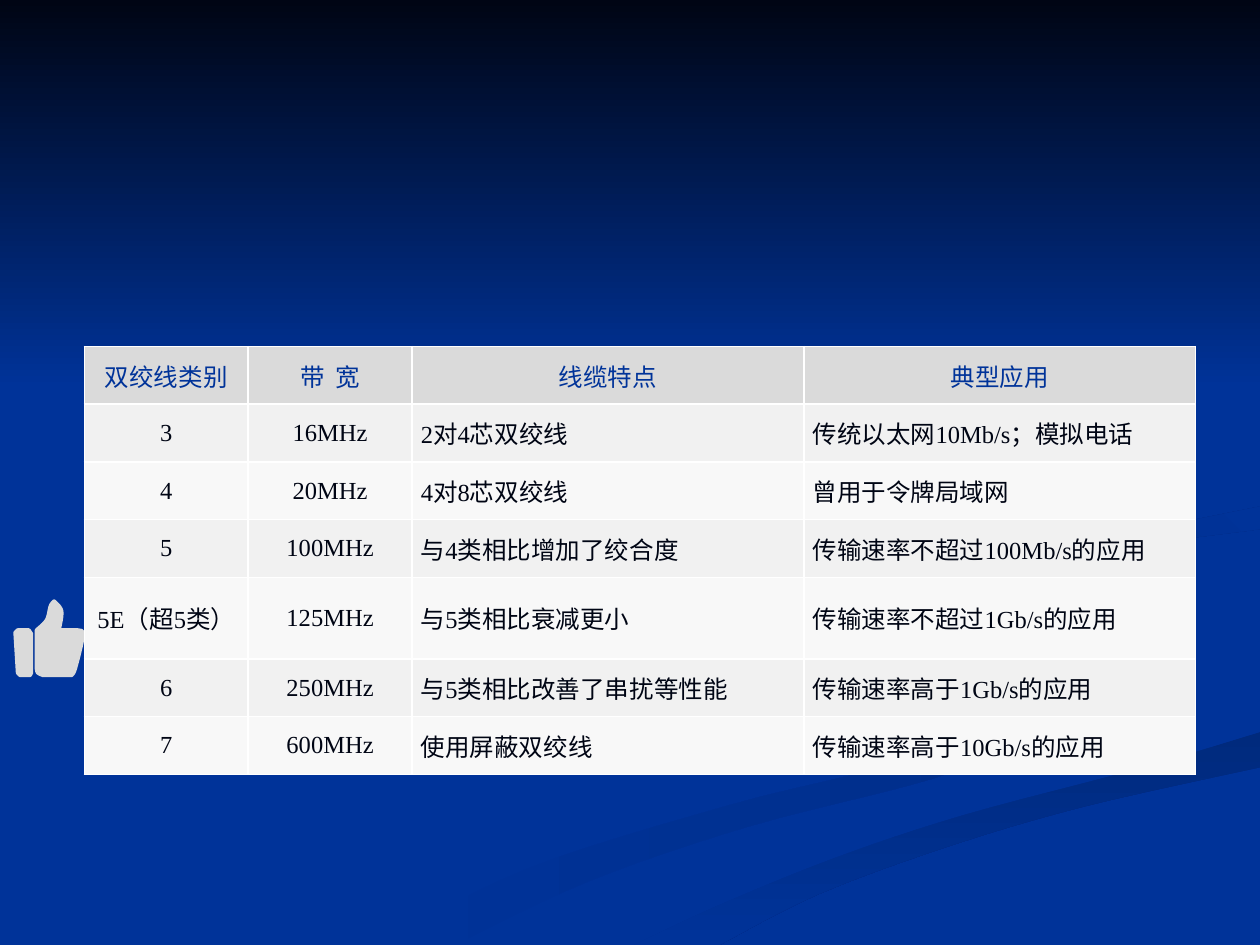
"""Build the slide that compares twisted-pair cable categories."""
from lxml.etree import SubElement
from pptx import Presentation
from pptx.dml.color import RGBColor
from pptx.enum.text import MSO_ANCHOR, PP_ALIGN
from pptx.oxml.ns import qn
from pptx.util import Inches, Pt

BLUE = RGBColor(0x00, 0x33, 0x99)
NIGHT = RGBColor(0x00, 0x05, 0x14)
LEFT_SHADE = RGBColor(0x00, 0x2E, 0x8B)
LOWER_SHADE = RGBColor(0x00, 0x2A, 0x7D)
UPPER_SHADE = RGBColor(0x00, 0x2D, 0x86)
GREY = RGBColor(0xDA, 0xDA, 0xDA)
BANDS = RGBColor(0xF1, 0xF1, 0xF1), RGBColor(0xF8, 0xF8, 0xF8)
WHITE = RGBColor(0xFF, 0xFF, 0xFF)

WIDTH, HEIGHT = 10, 7.5
FONT = "Times New Roman"
COLUMNS = 1.3, 1.3, 3.11, 3.11
CENTERED_COLUMNS = 2
ROWS = [
    ("双绞线类别", "带  宽", "线缆特点", "典型应用"),
    ("3", "16MHz", "2对4芯双绞线", "传统以太网10Mb/s；模拟电话"),
    ("4", "20MHz", "4对8芯双绞线", "曾用于令牌局域网"),
    ("5", "100MHz", "与4类相比增加了绞合度", "传输速率不超过100Mb/s的应用"),
    ("5E（超5类）", "125MHz", "与5类相比衰减更小", "传输速率不超过1Gb/s的应用"),
    ("6", "250MHz", "与5类相比改善了串扰等性能", "传输速率高于1Gb/s的应用"),
    ("7", "600MHz", "使用屏蔽双绞线", "传输速率高于10Gb/s的应用"),
]


def smooth(knots, steps=6):
    """Return a Catmull-Rom curve through the knots, as a list of points."""
    padded = [knots[0], *knots, knots[-1]]
    curve = [knots[0]]
    for a, b, c, d in zip(padded, padded[1:], padded[2:], padded[3:]):
        for t in (i / steps for i in range(1, steps + 1)):
            curve.append(tuple(
                q + t * (r - p) / 2
                + t * t * (2 * p - 5 * q + 4 * r - s) / 2
                + t ** 3 * (3 * q - p - 3 * r + s) / 2
                for p, q, r, s in zip(a, b, c, d)))
    return curve


def join(*edges):
    """Join edges into one contour, smoothing those with inner knots."""
    return [pt for e in edges for pt in (smooth(e) if len(e) > 2 else e)]


def add_outline(slide, *contours):
    """Draw closed contours, given in inches, as one shape without a line."""
    scaled = [[(Inches(x), Inches(y)) for x, y in c] for c in contours]
    builder = slide.shapes.build_freeform(*scaled[0][0], scale=1.0)
    for i, points in enumerate(scaled):
        if i:
            builder.move_to(*points[0])
        builder.add_line_segments(points[1:], close=True)
    sp = builder.convert_to_shape()
    sp.shadow.inherit = False
    sp.line.fill.background()
    return sp


def paint(fill, color):
    """Give a fill one solid colour."""
    fill.solid()
    fill.fore_color.rgb = color


def fade(fill, start, end, clockwise):
    """Give a fill a gradient from start to end."""
    fill.gradient()
    fill.gradient_angle = (360 - clockwise) % 360
    for stop, position, color in zip(fill.gradient_stops, (0, 1), (start, end)):
        stop.position = position
        stop.color.rgb = color


def add_ribbons(slide):
    """Draw the winding ribbons; neighbours share their common edges."""
    left_outer = [(5.75, 4.59), (5.72, 4.76), (6.11, 4.99), (6.97, 5.25),
                  (7.81, 5.56), (7.83, 5.74), (7.14, 6.05), (5.79, 6.39),
                  (4.17, 6.9), (3, HEIGHT)]
    left_inner = [(3.61, HEIGHT), (4.66, 7), (5.94, 6.56), (7.4, 6.18),
                  (7.95, 5.92), (7.95, 5.67), (7.31, 5.33), (6.42, 5.07),
                  (5.83, 4.77), (5.75, 4.59)]
    wide_left = [(7.25, 4.64), (7.45, 4.9), (8.12, 5.15), (8.89, 5.35),
                 (9.43, 5.7), (8.92, 6.05), (7.8, 6.34), (6.19, 6.84),
                 (4.77, HEIGHT)]
    wide_right = [(WIDTH, 5.38), (9.04, 5.19), (8.17, 4.92), (7.81, 4.63)]
    wide_top = [(WIDTH, 3.87), (9.2, 4.01), (8.08, 4.17), (7.42, 4.39),
                (7.25, 4.64)]
    lower_top = [(5.03, HEIGHT), (5.69, 7.19), (6.62, 6.81), (7.64, 6.47),
                 (9.03, 6.1), (WIDTH, 5.81)]
    lower_bottom = [(WIDTH, 6.09), (8.61, 6.4), (7.52, 6.72), (6.49, 7.1),
                    (5.71, HEIGHT)]
    upper_left = [(7.81, 4.63), (7.99, 4.42), (8.65, 4.24), (9.33, 4.15),
                  (WIDTH, 4.02)]
    upper_right = [(WIDTH, 4.2), (8.96, 4.35), (8.16, 4.59), (8.06, 4.8),
                   (8.26, 4.96), (7.81, 4.63)]

    left = add_outline(slide, join(left_outer, left_inner))
    fade(left.fill, BLUE, LEFT_SHADE, 0)
    lower = add_outline(slide, join(lower_top, lower_bottom))
    fade(lower.fill, LOWER_SHADE, BLUE, 90)
    wide = add_outline(
        slide, join(wide_left, lower_top, wide_right, upper_left, wide_top))
    paint(wide.fill, BLUE)
    upper = add_outline(slide, join(upper_left, upper_right))
    fade(upper.fill, UPPER_SHADE, BLUE, 315)


def add_sky(slide):
    """Draw the dark fade across the top of the slide."""
    bottom = 0.41 * HEIGHT
    corners = [(0, 0), (0, bottom), (WIDTH, bottom), (WIDTH, 0)]
    fade(add_outline(slide, corners).fill, NIGHT, BLUE, 90)


def add_thumb(slide):
    """Draw the thumbs-up icon: a hand and a cuff."""
    thumb_right = [(0.47, 5), (0.49, 4.85), (0.43, 4.77)]
    thumb_left = [(0.43, 4.77), (0.4, 4.81), (0.37, 4.92), (0.29, 5)]
    palm = [(0.29, 5.31), (0.3, 5.34), (0.34, 5.36)]
    fingers = [(0.57, 5.36), (0.6, 5.3), (0.66, 5.04), (0.62, 5)]
    cuff = [(0.23, 5), (0.14, 5), (0.12, 5.02), (0.14, 5.34),
            (0.16, 5.36), (0.24, 5.36), (0.25, 5.34), (0.25, 5.03)]
    sp = add_outline(slide, join(thumb_right, thumb_left, palm, fingers), cuff)
    paint(sp.fill, GREY)
    sp.line.color.rgb = GREY
    sp.line.width = Pt(2)


def set_borders(cell):
    """Give a cell thin white borders."""
    props = cell._tc.get_or_add_tcPr()
    for i, side in enumerate("LRTB"):
        line = props.makeelement(qn(f"a:ln{side}"), {"w": str(Pt(1))})
        fill = SubElement(line, qn("a:solidFill"))
        SubElement(fill, qn("a:srgbClr"), val=str(WHITE))
        props.insert(i, line)


def fill_cell(cell, text, row, col):
    """Write and style one cell according to its row and column."""
    header = row == 0
    centered = header or col < CENTERED_COLUMNS
    cell.text = text
    cell.vertical_anchor = MSO_ANCHOR.MIDDLE
    cell.margin_left = cell.margin_right = Inches(0.07)
    cell.margin_top = cell.margin_bottom = Inches(0.04)
    paint(cell.fill, GREY if header else BANDS[(row - 1) % 2])
    p = cell.text_frame.paragraphs[0]
    p.alignment = PP_ALIGN.CENTER if centered else PP_ALIGN.LEFT
    p.font.name, p.font.size, p.font.bold = FONT, Pt(14), False
    p.font.color.rgb = BLUE if header else NIGHT
    set_borders(cell)


def add_cable_table(slide):
    """Add the table of cable categories."""
    table = slide.shapes.add_table(
        len(ROWS), len(COLUMNS), Inches(0.67), Inches(2.75),
        Inches(sum(COLUMNS)), Inches(3.21)).table
    for column, width in zip(table.columns, COLUMNS):
        column.width = Inches(width)
    for i, texts in enumerate(ROWS):
        for j, text in enumerate(texts):
            fill_cell(table.cell(i, j), text, i, j)


def main():
    """Build and save the slide."""
    prs = Presentation()
    prs.slide_width, prs.slide_height = Inches(WIDTH), Inches(HEIGHT)
    slide = prs.slides.add_slide(prs.slide_layouts[6])
    paint(slide.background.fill, BLUE)
    for add_part in (add_ribbons, add_sky, add_thumb, add_cable_table):
        add_part(slide)
    prs.save("out.pptx")


if __name__ == "__main__":
    main()
